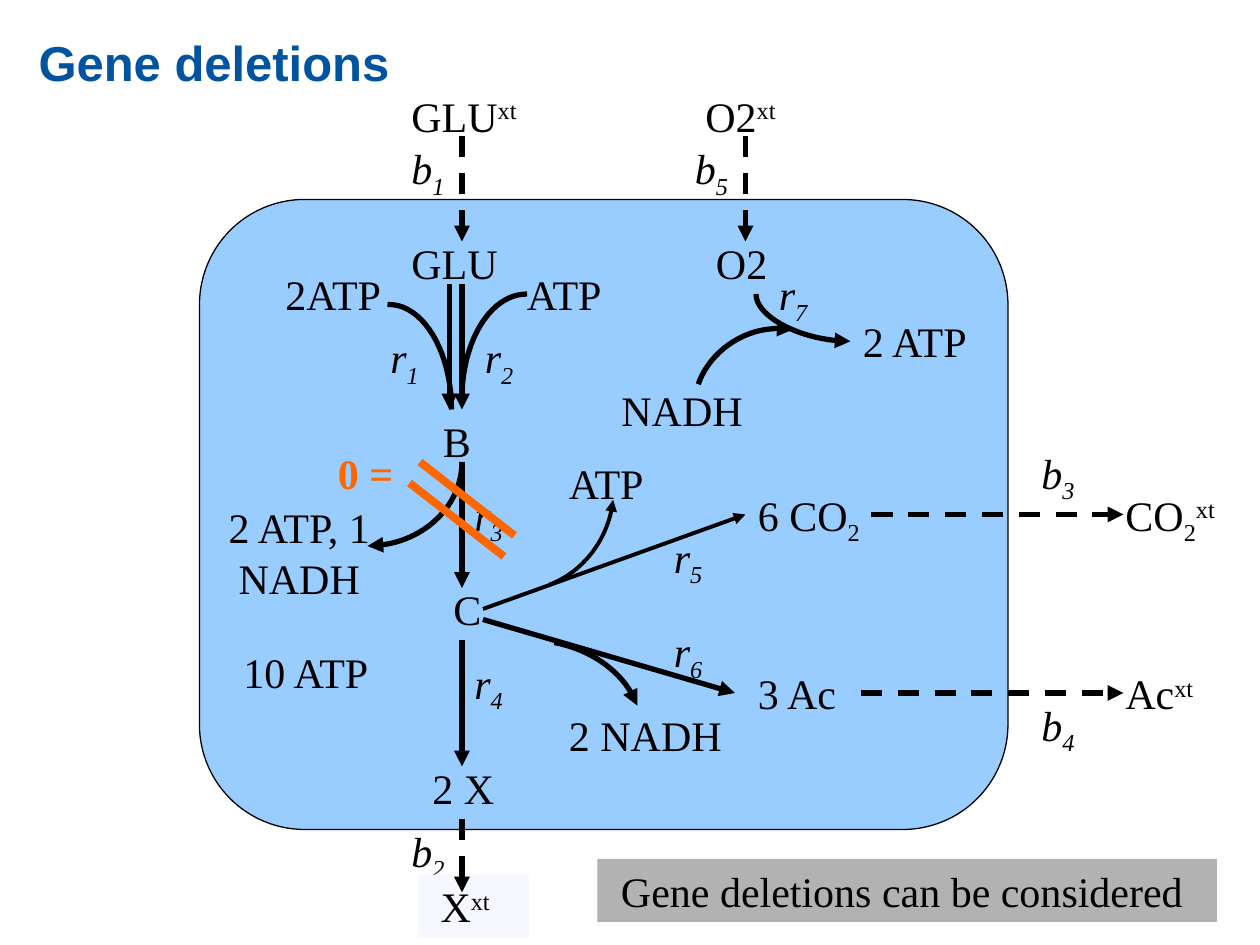
from lxml import etree
from pptx import Presentation
from pptx.dml.color import RGBColor
from pptx.enum.dml import MSO_LINE
from pptx.enum.shapes import MSO_CONNECTOR, MSO_SHAPE
from pptx.enum.text import PP_ALIGN
from pptx.oxml.ns import qn
from pptx.util import Inches, Pt

COLORS = {name: RGBColor.from_string(value) for name, value in {
    "ink": "000000", "title": "00549F", "cell": "99CCFF", "deleted": "FF6600",
    "note": "B2B2B2", "outside": "F7F7FF"}.items()}
BASELINES = {"_": "-25000", "^": "30000"}

deck = Presentation()
deck.slide_width, deck.slide_height = Inches(10), Inches(7.5)
page = deck.slides.add_slide(deck.slide_layouts[6])
shapes = page.shapes
UNIT = deck.slide_width / 120  # the grid has 120 columns and 90 rows


def grid(*cells):
    return [round(cell * UNIT) for cell in cells]


def write(box, text, color="ink", size=24, face="Times New Roman",
          bold=False, italic=False, align=PP_ALIGN.LEFT):
    """Fill a box; parts are split by | and start with _ or ^ if lowered or raised."""
    box.text_frame.word_wrap = True
    para = box.text_frame.paragraphs[0]
    para.alignment = align
    para.font.name, para.font.size = face, Pt(size)
    para.font.bold, para.font.italic = bold, italic
    para.font.color.rgb = COLORS[color]
    for part in text.split("|"):
        span = para.add_run()
        span.text = part.lstrip("_^")
        if part[0] in BASELINES:
            span._r.get_or_add_rPr().set("baseline", BASELINES[part[0]])


# Cell
cell = shapes.add_shape(MSO_SHAPE.ROUNDED_RECTANGLE, *grid(19, 19, 77, 60))
cell.adjustments[0] = 0.167
cell.shadow.inherit = False
cell.fill.solid()
cell.fill.fore_color.rgb = COLORS["cell"]
cell.line.color.rgb = COLORS["ink"]
cell.line.width = Pt(0.75)

# Title
write(shapes.add_textbox(*grid(2.5, 2.5, 115, 6.8)), "Gene deletions",
      color="title", size=28, face="Arial", bold=True)

# Reaction labels: column, row, text
for col, row, text in [
        (36, 31, "r|_1"), (45, 31, "r|_2"), (44, 46, "r|_3"), (44, 62, "r|_4"),
        (63, 50, "r|_5"), (63, 59, "r|_6"), (73, 25, "r|_7"),
        (38, 13, "b|_1"), (38, 78, "b|_2"), (98, 42, "b|_3"),
        (98, 66, "b|_4"), (65, 13, "b|_5")]:
    write(shapes.add_textbox(*grid(col, row, 9, 6)), text, italic=True)

# Metabolites: column, row, width, text
metabolites = {}
for col, row, width, text in [
        (38, 8, 14, "GLU|^xt"), (66, 8, 11, "O2|^xt"), (38, 22, 11, "GLU"),
        (67, 22, 10, "O2"), (26, 25, 12, "2ATP"), (49, 25, 11, "ATP"),
        (81, 29.5, 18, "2 ATP"), (58, 36, 17, "NADH"), (41, 39, 6, "B"),
        (53, 43, 11, "ATP"), (42, 55, 6, "C"), (71, 46, 16, "6 CO|_2"),
        (71, 63, 12, "3 Ac"), (106, 46, 14, "CO|_2|^xt"), (106, 63, 11, "Ac|^xt"),
        (53, 67, 17, "2 NADH"), (22, 61, 16, "10 ATP"), (40, 72, 9, "2 X")]:
    metabolites[text] = shapes.add_textbox(*grid(col, row, width, 6))
    write(metabolites[text], text)
write(shapes.add_textbox(*grid(20, 47.2, 17, 10.8)), "2 ATP, 1 NADH", align=PP_ALIGN.CENTER)

# Filled boxes: frame, fill, text, alignment, left and right inset in inches
for frame, fill, text, align, left, right in [
        ((56.9, 81.8, 59, 6), "note", "Gene deletions can be considered",
         PP_ALIGN.CENTER, 0.1, 0.18),
        ((39.8, 83.3, 10.6, 6), "outside", "X|^xt", PP_ALIGN.LEFT, 0.18, 0.1)]:
    box = shapes.add_shape(MSO_SHAPE.RECTANGLE, *grid(*frame))
    box.shadow.inherit = False
    box.fill.solid()
    box.fill.fore_color.rgb = COLORS[fill]
    box.line.fill.background()
    box.text_frame.margin_left, box.text_frame.margin_right = Inches(left), Inches(right)
    write(box, text, align=align)

# Straight arrows: start, end, width, dashed, metabolite joined and its side
arrows = []
for start, end, width, dashed, target, side in [
        ((44, 27), (44, 39), 3, False, "B", 0),
        ((42.8, 27), (42.8, 39), 3, False, None, None),
        ((44, 44), (44, 56), 3, False, None, None),
        ((44, 61), (44, 73), 3, False, None, None),
        ((46, 58), (71, 49), 2.25, False, "6 CO|_2", 1),
        ((46, 59), (70, 66), 3, False, None, None),
        ((44, 13), (44, 23), 3, True, None, None),
        ((71, 13), (71, 23), 3, True, None, None),
        ((83, 49), (107, 49), 3, True, None, None),
        ((82, 66), (107, 66), 3, True, None, None),
        ((44, 78), (44, 85), 3, True, None, None)]:
    arrow = shapes.add_connector(MSO_CONNECTOR.STRAIGHT, *grid(*start, *end))
    if target:
        arrow.end_connect(metabolites[target], side)
    if dashed:
        arrow.line.dash_style = MSO_LINE.DASH
    arrows.append((arrow, width, "ink", True))

# Curved side arrows: four control points, width, arrowhead
STEPS = 20
for points, width, headed in [
        ([(36.9, 29), (40.3, 28.9), (43, 33.5), (43, 39)], 3, False),
        ([(50.2, 28), (46.7, 28), (44, 32.5), (44, 38)], 3, False),
        ([(44, 44), (44, 48.4), (40, 52), (35, 52)], 3, True),
        ([(52.8, 61.2), (56.5, 61.9), (59.6, 64.2), (60.7, 67.2)], 3, True),
        ([(52.3, 55.7), (55.7, 54.4), (58, 51.2), (58.4, 47.6)], 2.25, True),
        ([(72, 28), (72, 30.25), (76.5, 32.5), (81, 32.5)], 3, True),
        ([(66.5, 36.6), (67.6, 33.4), (71.3, 30.7), (75.5, 31.4)], 3, True)]:
    trace = []
    for step in range(STEPS + 1):
        t = step / STEPS
        weights = (1 - t) ** 3, 3 * t * (1 - t) ** 2, 3 * t ** 2 * (1 - t), t ** 3
        trace.append(grid(*(sum(w * p[axis] for w, p in zip(weights, points))
                            for axis in (0, 1))))
    builder = shapes.build_freeform(*trace[0])
    builder.add_line_segments(trace[1:], close=False)
    curve = builder.convert_to_shape()
    curve.shadow.inherit = False
    curve.fill.background()
    arrows.append((curve, width, "ink", headed))

# Deletion strokes across r3
for col, row in [(39, 46), (40, 44)]:
    stroke = shapes.add_connector(MSO_CONNECTOR.STRAIGHT, *grid(col, row, col + 9, row + 7))
    arrows.append((stroke, 4.5, "deleted", False))
write(shapes.add_textbox(*grid(31, 42, 11, 6)), "0 =", color="deleted", bold=True)

# Line styles
for arrow, width, color, headed in arrows:
    arrow.line.width = Pt(width)
    arrow.line.color.rgb = COLORS[color]
    if headed:
        etree.SubElement(arrow.line._get_or_add_ln(), qn("a:tailEnd"), type="triangle")
    properties = arrow._element.spPr
    if properties.find(qn("a:effectLst")) is None:
        etree.SubElement(properties, qn("a:effectLst"))

deck.save("out.pptx")
